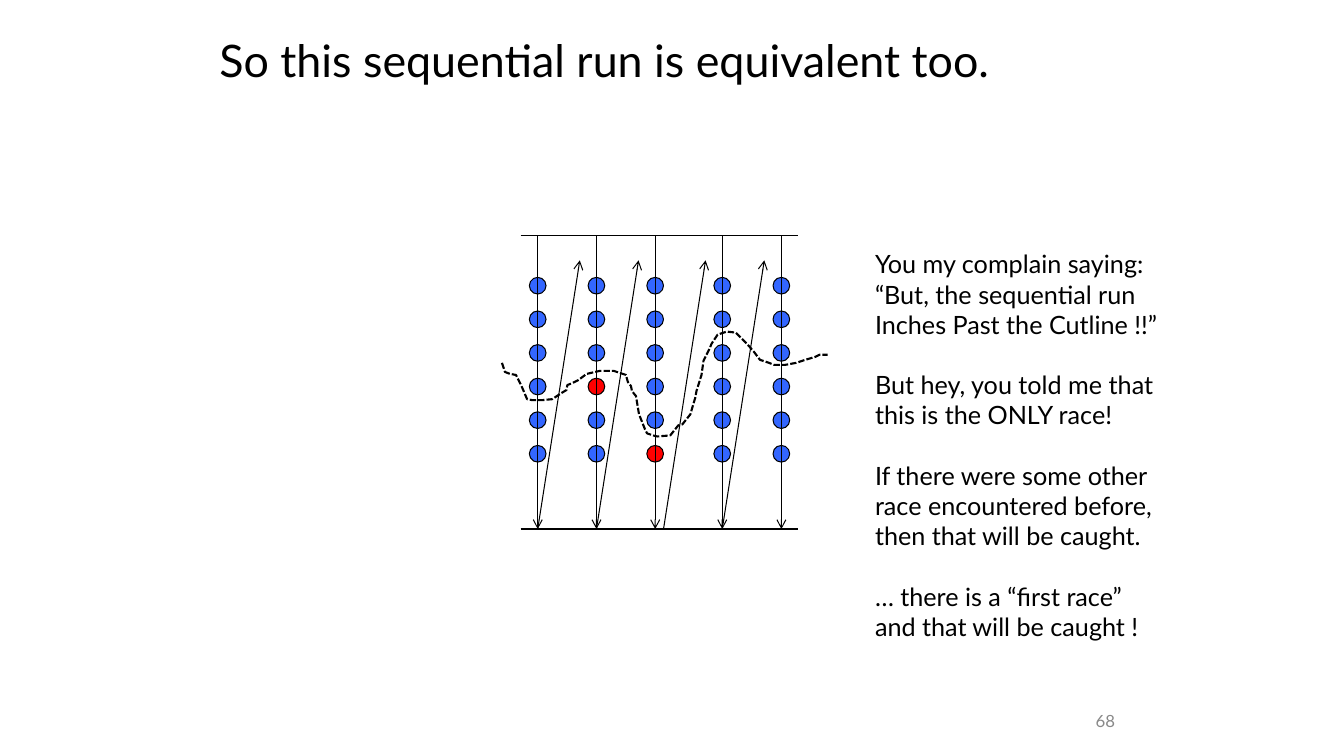
import pptx
import pptx.dml.color
import pptx.enum.dml
import pptx.enum.shapes
import pptx.enum.text
import pptx.oxml
import pptx.oxml.ns
import pptx.util
from pptx.util import Cm

COLORS = {"ink": "000000", "event": "3366FF", "race": "FF0000", "number": "898989"}
ALIGN = pptx.enum.text.PP_ALIGN
ANCHOR = pptx.enum.text.MSO_ANCHOR

THREADS_X = [13.55, 15.03, 16.51, 18.2, 19.69]
TOP, BOTTOM = 5.93, 13.33
EVENTS_PER_THREAD, FIRST_EVENT_Y, EVENT_STEP, EVENT_SIZE = 6, 7.2, 0.847, 0.42
RACES = {(1, 3), (2, 5)}  # (thread, event)
RETURNS_X = [13.55, 15.03, 16.72, 18.2]
RETURN_DX, RETURN_TOP = 1.06, 6.56

# Cutline nodes, in hundredths of an inch
CUTLINE = [
    (498, 360), (501, 369), (506, 371), (512, 372), (517, 382), (523, 396),
    (528, 397), (538, 397), (548, 396), (557, 390), (562, 387), (563, 382),
    (568, 380), (574, 377), (582, 371), (595, 368), (609, 368), (621, 372),
    (623, 379), (626, 383), (627, 388), (631, 393), (634, 411), (640, 426),
    (642, 430), (648, 432), (652, 433), (665, 432), (673, 422), (677, 421),
    (685, 411), (687, 404), (690, 394), (691, 388), (696, 372), (698, 358),
    (704, 346), (706, 341), (712, 332), (721, 329), (730, 330), (741, 341),
    (748, 349), (754, 357), (763, 360), (768, 362), (779, 362), (790, 360),
    (799, 357), (809, 354), (813, 352), (821, 352),
]

REMARKS = [
    ["You my complain saying:", "“But, the sequential run", "Inches Past the Cutline !!”"],
    ["But hey, you told me that", "this is the ONLY race!"],
    ["If there were some other", "race encountered before,", "then that will be caught."],
    ["… there is a “first race”", "and that will be caught !"],
]


def rgb(name):
    return pptx.dml.color.RGBColor.from_string(COLORS[name])


class Board:
    """Holds the style and the current slide."""

    font = "Lato"
    line_width = 0.75

    def __init__(self, prs):
        self.s = prs.slides.add_slide(prs.slide_layouts[6])

    def outline(self, line, width=line_width):
        line.color.rgb = rgb("ink")
        line.width = pptx.util.Pt(width)

    def text(self, box, blocks, size, color="ink", align=ALIGN.LEFT,
             anchor=ANCHOR.TOP, wrap=True, spacing=None):
        """Write blocks of lines, one paragraph a line, with a line's gap between blocks."""
        tf = self.s.shapes.add_textbox(*map(Cm, box)).text_frame
        tf.word_wrap = wrap
        tf.vertical_anchor = anchor
        for b, block in enumerate(blocks):
            for i, line in enumerate(block):
                p = tf.paragraphs[0] if b == i == 0 else tf.add_paragraph()
                p.text = line
                p.alignment = align
                p.line_spacing = spacing
                if b and i == 0:
                    p.space_before = pptx.util.Pt(size * 1.2)
                p.font.name = self.font
                p.font.size = pptx.util.Pt(size)
                p.font.color.rgb = rgb(color)
        return tf

    def line(self, x1, y1, x2, y2, arrow=False, shapes=None):
        c = (shapes or self.s.shapes).add_connector(
            pptx.enum.shapes.MSO_CONNECTOR.STRAIGHT, Cm(x1), Cm(y1), Cm(x2), Cm(y2))
        self.outline(c.line)
        if arrow:
            tail = pptx.oxml.parse_xml(
                f'<a:tailEnd {pptx.oxml.ns.nsdecls("a")} type="arrow"/>')
            c.line._get_or_add_ln().append(tail)
        c._element.spPr.append(
            pptx.oxml.parse_xml(f'<a:effectLst {pptx.oxml.ns.nsdecls("a")}/>'))

    def event(self, shapes, x, y, color):
        r = EVENT_SIZE / 2
        sp = shapes.add_shape(pptx.enum.shapes.MSO_SHAPE.OVAL, Cm(x - r), Cm(y - r),
                              Cm(EVENT_SIZE), Cm(EVENT_SIZE))
        sp.shadow.inherit = False
        sp.fill.solid()
        sp.fill.fore_color.rgb = rgb(color)
        self.outline(sp.line)

    def thread(self, number, x):
        """Draw one downward time line with its events, as a group."""
        shapes = self.s.shapes.add_group_shape().shapes
        self.line(x, TOP, x, BOTTOM, arrow=True, shapes=shapes)
        for i in range(EVENTS_PER_THREAD):
            color = "race" if (number, i) in RACES else "event"
            self.event(shapes, x, FIRST_EVENT_Y + i * EVENT_STEP, color)

    def dashed_path(self, points, scale):
        fb = self.s.shapes.build_freeform(*points[0], scale=scale)
        fb.add_line_segments(points[1:], close=False)
        sp = fb.convert_to_shape()
        sp.shadow.inherit = False
        sp.fill.background()
        self.outline(sp.line, 1.5)
        sp.line.dash_style = pptx.enum.dml.MSO_LINE.SQUARE_DOT


def main():
    prs = pptx.Presentation()
    prs.slide_width, prs.slide_height = Cm(33.867), Cm(19.05)
    board = Board(prs)
    board.text((22.43, 17.65, 5.92, 1.02), [["68"]], 12, "number",
               align=ALIGN.RIGHT, anchor=ANCHOR.MIDDLE)
    board.text((5.28, 0, 24.13, 3.18), [["So this sequential run is equivalent too."]],
               32, anchor=ANCHOR.MIDDLE, spacing=0.9)

    for y in (TOP, BOTTOM):
        board.line(13.12, y, 20.11, y)
    for number, x in enumerate(THREADS_X):
        board.thread(number, x)
    for x in RETURNS_X:
        board.line(x, BOTTOM, x + RETURN_DX, RETURN_TOP, arrow=True)
    board.dashed_path(CUTLINE, Cm(2.54) / 100)

    tf = board.text((21.8, 6.14, 8.1, 10.26), REMARKS, 18, wrap=False)
    tf.auto_size = pptx.enum.text.MSO_AUTO_SIZE.SHAPE_TO_FIT_TEXT
    prs.save("out.pptx")


if __name__ == "__main__":
    main()
